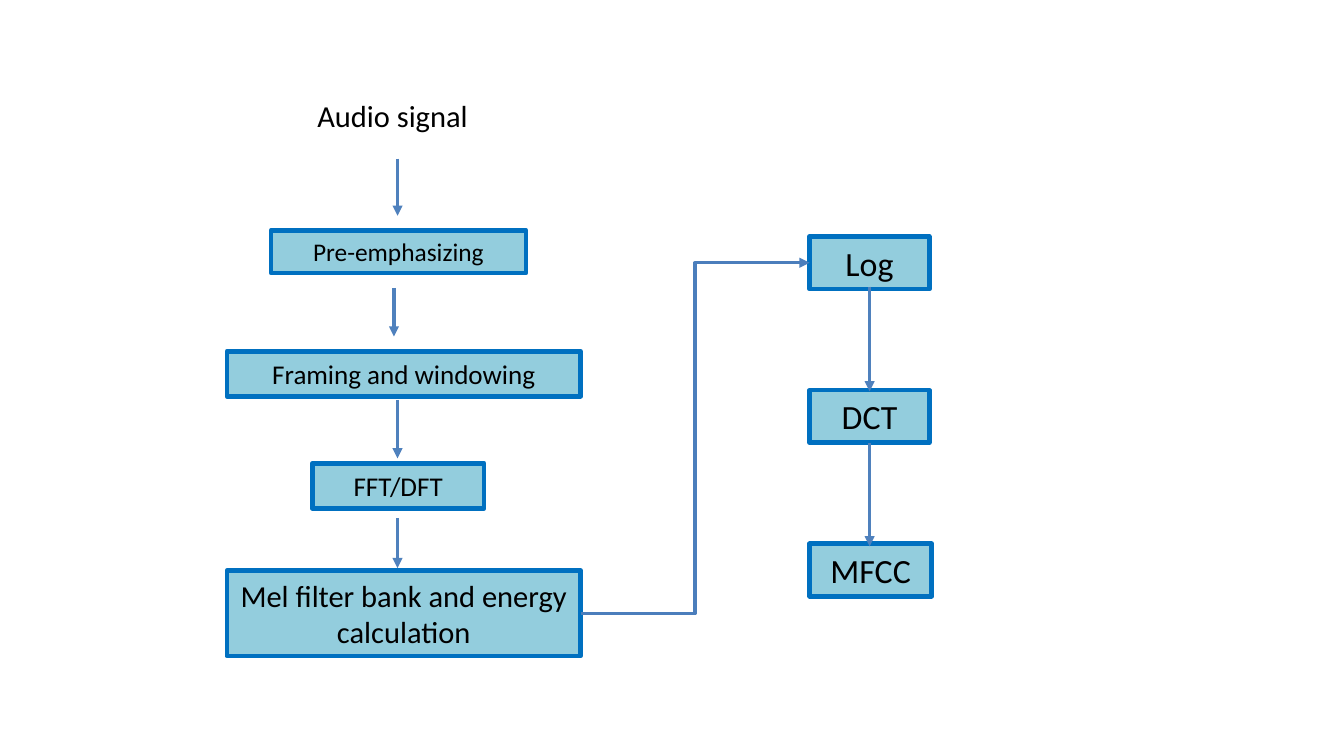
"""Draw the flow from an audio signal to MFCC features."""
from dataclasses import dataclass

from lxml import etree
from pptx import Presentation
from pptx.dml.color import RGBColor
from pptx.enum.shapes import MSO_CONNECTOR, MSO_SHAPE
from pptx.enum.text import MSO_ANCHOR, PP_ALIGN
from pptx.oxml.ns import qn
from pptx.shapes.autoshape import Shape
from pptx.shapes.connector import Connector
from pptx.shapes.shapetree import SlideShapes
from pptx.util import Pt

RECT = MSO_SHAPE.RECTANGLE
LINE, ELBOW = MSO_CONNECTOR.STRAIGHT, MSO_CONNECTOR.ELBOW
MIDDLE, CENTER = MSO_ANCHOR.MIDDLE, PP_ALIGN.CENTER
LEFT_SITE, RIGHT_SITE = 1, 3

BLACK = RGBColor(0x00, 0x00, 0x00)
AQUA = RGBColor(0x93, 0xCD, 0xDD)
BLUE = RGBColor(0x00, 0x70, 0xC0)
STEEL = RGBColor(0x4F, 0x81, 0xBD)
BEND = RGBColor(0x4B, 0x7E, 0xBC)


@dataclass(frozen=True)
class Box:
    text: str
    left: float
    top: float
    width: float
    height: float
    size: float


@dataclass(frozen=True)
class Arrow:
    x: float
    top: float
    end: float


SIGNAL = Box("Audio signal", 174.2, 43.2, 115.2, 50.4, 18)
STEPS = [
    Box("Pre-emphasizing", 160, 136, 150.5, 25.2, 15),
    Box("Framing and windowing", 134, 207.4, 208.8, 26.6, 16),
    Box("FFT/DFT", 184.3, 273.6, 101.5, 26.6, 16),
    Box("Mel filter bank and energy calculation", 134, 337, 208.8, 50.4, 18),
]
WIDTHS = {"Log": 70.6, "DCT": 70.6, "MFCC": 72}
RESULTS = [
    Box(text, 478, 139.7 + 90.7 * row, width, 31, 20)
    for row, (text, width) in enumerate(WIDTHS.items())
]
ARROWS = [
    Arrow(234.7, 93.6, 127.4),
    Arrow(232.6, 170, 198.7),
    Arrow(234.7, 236.2, 270.7),
    Arrow(234.7, 306, 335.5),
    Arrow(513.4, 169.2, 231.1),
    Arrow(513.4, 261.4, 322.6),
]


def style(item: object, form: dict[str, object]) -> None:
    for name, value in form.items():
        setattr(item, name, value)


def write(shape: Shape, box: Box) -> None:
    frame = shape.text_frame
    style(frame, {"text": box.text, "word_wrap": True, "vertical_anchor": MIDDLE})
    para = frame.paragraphs[0]
    para.alignment = CENTER
    font = para.runs[0].font
    style(font, {"name": "Calibri", "size": Pt(box.size)})
    font.color.rgb = BLACK


def place(box: Box) -> list[Pt]:
    return [Pt(size) for size in (box.left, box.top, box.width, box.height)]


def add_box(shapes: SlideShapes, box: Box) -> Shape:
    shape = shapes.add_shape(RECT, *place(box))
    shape.shadow.inherit = False
    shape.fill.solid()
    shape.fill.fore_color.rgb = AQUA
    shape.line.color.rgb = BLUE
    shape.line.width = Pt(2.75)
    write(shape, box)
    return shape


def point(link: Connector, color: RGBColor) -> None:
    link.line.color.rgb = color
    link.line.width = Pt(2)
    props = link._element.spPr
    etree.SubElement(props.find(qn("a:ln")), qn("a:tailEnd"), type="triangle")
    etree.SubElement(props, qn("a:effectLst"))


def add_arrow(shapes: SlideShapes, arrow: Arrow) -> None:
    x = Pt(arrow.x)
    point(shapes.add_connector(LINE, x, Pt(arrow.top), x, Pt(arrow.end)), STEEL)


def add_bend(shapes: SlideShapes, start: Shape, goal: Shape) -> None:
    link = shapes.add_connector(ELBOW, 0, 0, 0, 0)
    link.begin_connect(start, RIGHT_SITE)
    link.end_connect(goal, LEFT_SITE)
    point(link, BEND)


def main() -> None:
    deck = Presentation()
    style(deck, {"slide_width": Pt(793.44), "slide_height": Pt(446.4)})
    shapes = deck.slides.add_slide(deck.slide_layouts[6]).shapes
    steps = [add_box(shapes, box) for box in STEPS]
    results = [add_box(shapes, box) for box in RESULTS]
    write(shapes.add_textbox(*place(SIGNAL)), SIGNAL)
    for arrow in ARROWS:
        add_arrow(shapes, arrow)
    add_bend(shapes, steps[-1], results[0])
    deck.save("out.pptx")


if __name__ == "__main__":
    main()
